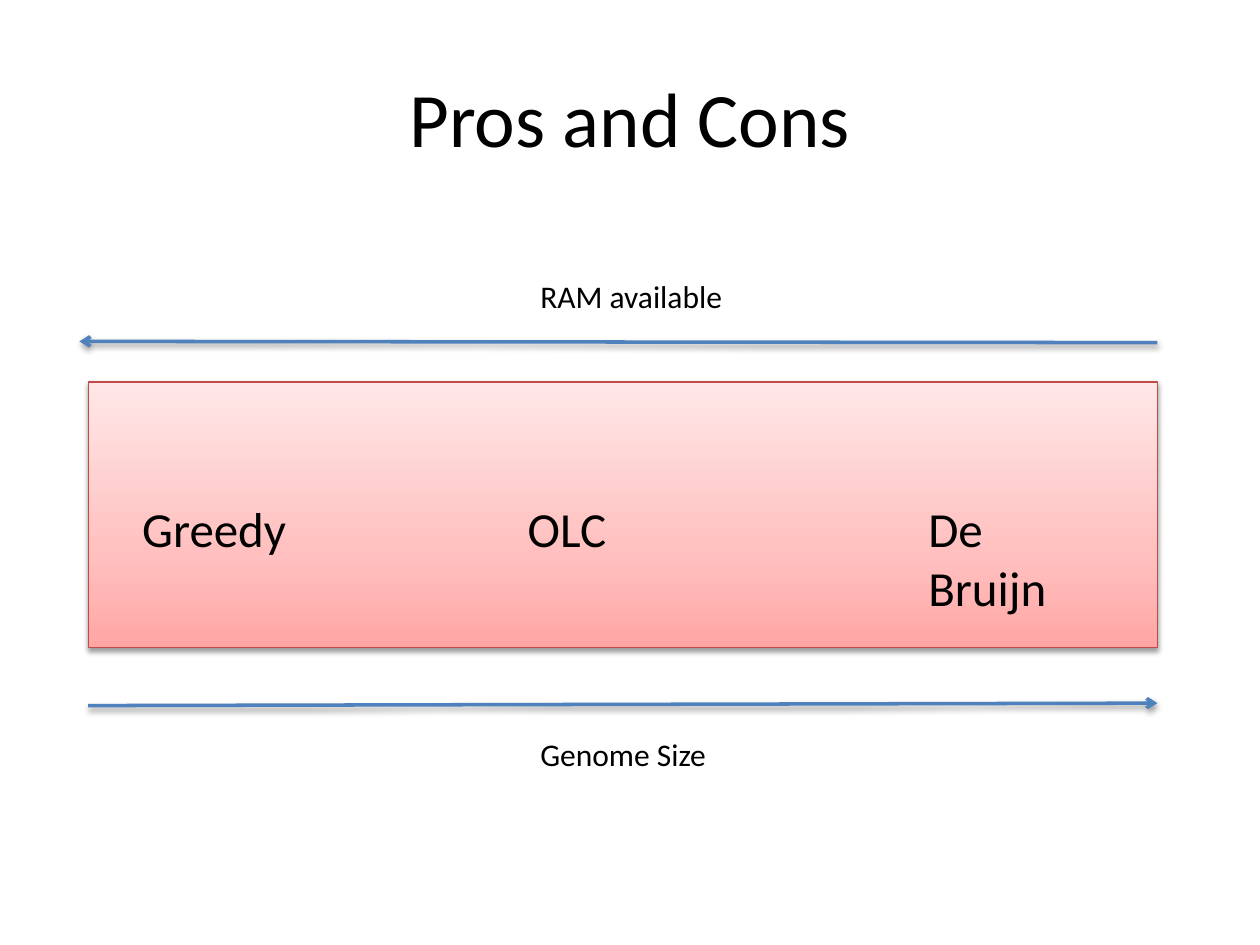
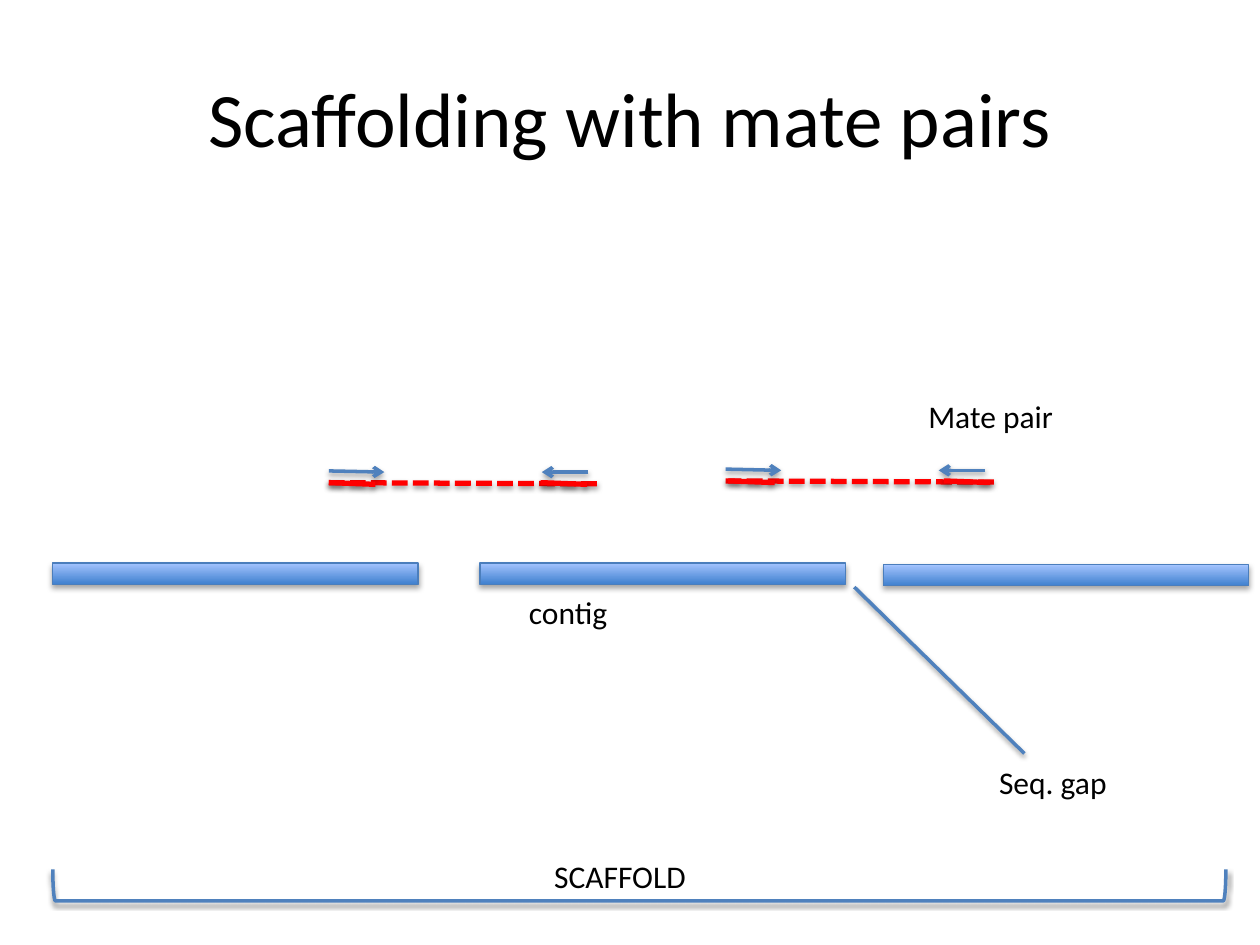
import copy
import pptx
import pptx.dml.color
import pptx.enum.dml
import pptx.enum.shapes
import pptx.enum.text
import pptx.oxml
import pptx.oxml.ns
import pptx.util
from lxml import etree

Pt = pptx.util.Pt
qn = pptx.oxml.ns.qn
SHAPE = pptx.enum.shapes.MSO_SHAPE
FONT = "Calibri"
BLACK, BLUE, RED = "000000", "4F81BD", "FF0000"
PINK = [(0, "FFA6A5"), (35, "FFC0BF"), (100, "FFE7E7")]
SKY = [(0, "3F80CE"), (100, "A4C4FF")]


def tint(color, value):
    color.rgb = pptx.dml.color.RGBColor.from_string(value)


def shade(shape, alpha=38, dist=1.6):
    props = shape.element.spPr
    effects = props.find(qn("a:effectLst"))
    if effects is None:
        effects = etree.SubElement(props, qn("a:effectLst"))
    outer = etree.SubElement(
        effects, qn("a:outerShdw"), blurRad=str(Pt(3.1)),
        dist=str(Pt(dist)), dir="5400000", rotWithShape="0")
    color = etree.SubElement(outer, qn("a:srgbClr"), val=BLACK)
    etree.SubElement(color, qn("a:alpha"), val=str(alpha * 1000))


def stroke(line, color, width):
    tint(line.color, color)
    line.width = Pt(width)


def blend(shape, stops):
    shape.fill.gradient()
    shape.fill.gradient_angle = 90
    group = shape.element.spPr.find(".//" + qn("a:gsLst"))
    while len(group) < len(stops):
        group.append(copy.deepcopy(group[0]))
    for stop, (place, color) in zip(shape.fill.gradient_stops, stops):
        stop.position = place / 100
        tint(stop.color, color)


def label(slide, text, x, y, w, h=28.8, size=18, wrap=False):
    box = slide.shapes.add_textbox(Pt(x), Pt(y), Pt(w), Pt(h))
    frame = box.text_frame
    frame.word_wrap = wrap
    frame.text = text
    para = frame.paragraphs[0]
    para.font.name = FONT
    para.font.size = Pt(size)
    tint(para.font.color, BLACK)
    return frame


def title(slide, text):
    frame = label(slide, text, 36, 21.6, 648, 90, 44, True)
    frame.vertical_anchor = pptx.enum.text.MSO_ANCHOR.MIDDLE
    frame.paragraphs[0].alignment = pptx.enum.text.PP_ALIGN.CENTER


def bar(slide, x, y, w, h, stops, edge, alpha=38, dist=1.6):
    shape = slide.shapes.add_shape(SHAPE.RECTANGLE, Pt(x), Pt(y), Pt(w), Pt(h))
    blend(shape, stops)
    stroke(shape.line, edge, 0.75)
    shape.shadow.inherit = False
    shade(shape, alpha, dist)


def rule(slide, x1, y1, x2, y2, color=BLUE, width=2, arrow=False, dash=False):
    line = slide.shapes.add_connector(
        pptx.enum.shapes.MSO_CONNECTOR.STRAIGHT, Pt(x1), Pt(y1), Pt(x2), Pt(y2))
    stroke(line.line, color, width)
    if dash:
        line.line.dash_style = pptx.enum.dml.MSO_LINE.SQUARE_DOT
    if arrow:
        etree.SubElement(line.line._get_or_add_ln(), qn("a:tailEnd"), type="arrow")
    shade(line)


def bracket(slide, x, y, w, h):
    left, top = x + (w - h) / 2, y + (h - w) / 2
    shape = slide.shapes.add_shape(
        SHAPE.LEFT_BRACKET, Pt(left), Pt(top), Pt(h), Pt(w))
    shape.rotation = 270
    shape.fill.background()
    stroke(shape.line, BLUE, 2)
    shape.shadow.inherit = False
    shade(shape)


def mate(slide, x, y, reads):
    rule(slide, x, y, x + 154.4, y + 0.7, RED, 3, dash=True)
    rule(slide, x, y - 6.7, x + 31.7, y - 6, arrow=True)
    rule(slide, x + 148.3, y - 6, x + 121.7, y - 6, arrow=True)
    for start in reads:
        rule(slide, x + start, y, x + start + 26.6, y + 1, RED, 3)


def compare(slide):
    title(slide, "Pros and Cons")
    bar(slide, 50.4, 218.2, 610.9, 151.9, PINK, "BF4C48")
    rule(slide, 50.4, 403.2, 661.4, 401.8, arrow=True)
    rule(slide, 661.4, 195.8, 45.4, 195.1, arrow=True)
    label(slide, "RAM available", 301.7, 154.8, 120.2)
    label(slide, "Genome Size", 301.7, 416.2, 110.9)
    for text, x in (("Greedy", 74.2), ("OLC", 294.5), ("De Bruijn", 523.4)):
        label(slide, text, x, 281.5, 119, 41, 28, True)


def scaffold(slide):
    title(slide, "Scaffolding with mate pairs")
    for x, y in ((30.2, 321.8), (274.3, 321.8), (504.7, 322.6)):
        bar(slide, x, y, 208.8, 12.2, SKY, "4B7EBC", 35, 1.8)
    mate(slide, 187.9, 275.8, (0, 121))
    mate(slide, 414.7, 274.8, (1.4, 124.6))
    rule(slide, 488.2, 335.5, 585.4, 430.6)
    bracket(slide, 30.2, 496.8, 670.3, 18)
    label(slide, "Seq. gap", 563.8, 432.7, 77)
    label(slide, "Mate pair", 523.4, 223.2, 87.1)
    label(slide, "contig", 295.2, 335.5, 59.8)
    label(slide, "SCAFFOLD", 309.6, 486, 90.7)


def main():
    deck = pptx.Presentation()
    deck.slide_width, deck.slide_height = Pt(720), Pt(540)
    for draw in (compare, scaffold):
        draw(deck.slides.add_slide(deck.slide_layouts[6]))
    deck.save("out.pptx")


if __name__ == "__main__":
    main()
